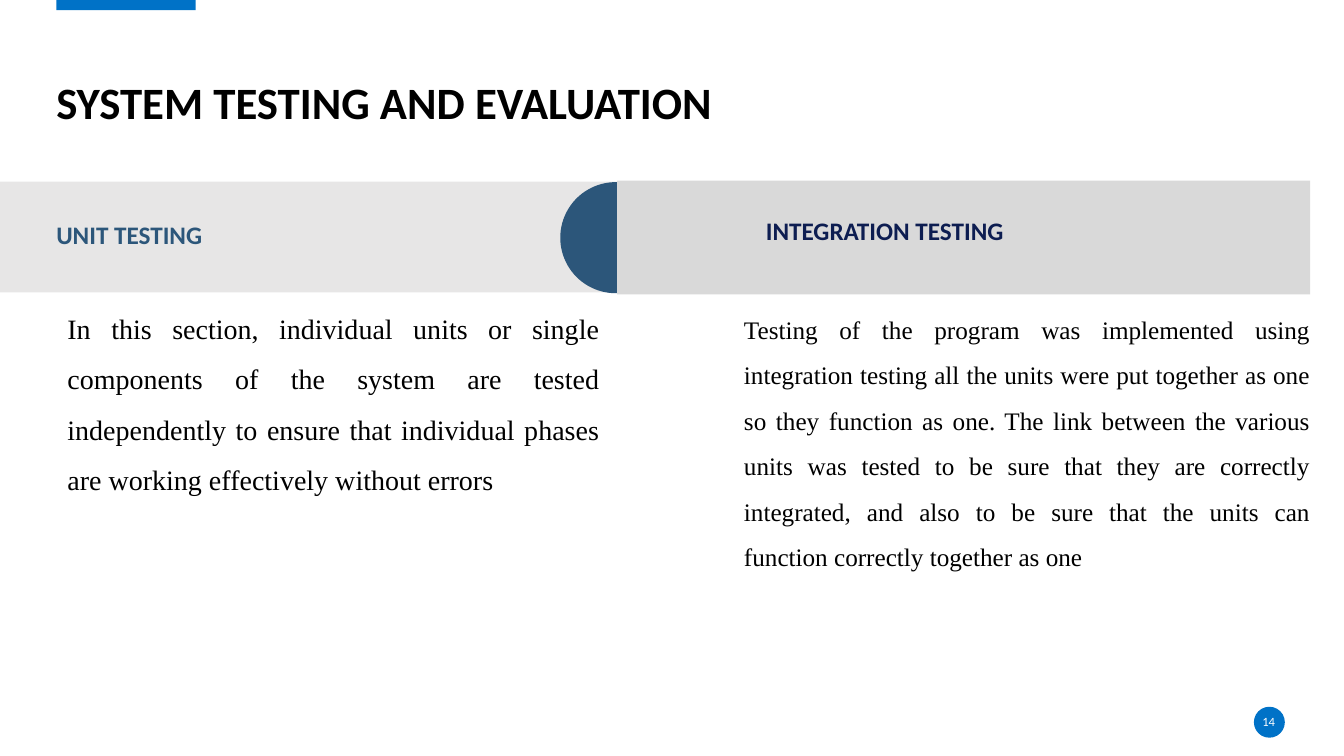
"""Build the system testing and evaluation slide."""
import pptx
import pptx.dml.color
import pptx.enum.shapes
import pptx.enum.text
import pptx.util

Cm = pptx.util.Cm
Pt = pptx.util.Pt
RGBColor = pptx.dml.color.RGBColor
Shape = pptx.enum.shapes.MSO_SHAPE
Align = pptx.enum.text.PP_ALIGN
Anchor = pptx.enum.text.MSO_ANCHOR

BLACK = RGBColor(0x00, 0x00, 0x00)
WHITE = RGBColor(0xFF, 0xFF, 0xFF)
BLUE = RGBColor(0x00, 0x72, 0xC7)
STEEL = RGBColor(0x2C, 0x56, 0x7A)
NAVY = RGBColor(0x0D, 0x1D, 0x51)
LIGHT_GREY = RGBColor(0xE7, 0xE6, 0xE6)
GREY = RGBColor(0xD9, 0xD9, 0xD9)

TITLE = "SYSTEM TESTING AND EVALUATION"
UNIT_HEADING = "UNIT TESTING"
UNIT_BODY = (
    "In this section, individual units or single components of the system are tested "
    "independently to ensure that individual phases are working effectively without errors"
)
INTEGRATION_HEADING = "INTEGRATION TESTING"
INTEGRATION_BODY = (
    "Testing of the program was implemented using integration testing all the units were put "
    "together as one so they function as one. The link between the various units was tested to "
    "be sure that they are correctly integrated, and also to be sure that the units can function "
    "correctly together as one"
)
PAGE_NUMBER = "14"

MARGIN = 1.42
HEADING = dict(size=18, bold=True, line_spacing=0.9, before=10)
BODY = dict(font="Times New Roman", align=Align.JUSTIFY, line_spacing=1.5, before=10)

SHAPES = [
    (Shape.RECTANGLE, (0, 4.58, 15.62, 2.79), LIGHT_GREY),
    (Shape.RECTANGLE, (MARGIN, 0, 3.51, 0.26), BLUE),
    (Shape.OVAL, (31.6, 17.81, 0.78, 0.78), BLUE),
    (Shape.OVAL, (14.12, 4.59, 2.8, 2.8), STEEL),
    (Shape.RECTANGLE, (15.55, 4.55, 17.47, 2.87), GREY),
]

TEXTS = [
    (TITLE, (MARGIN, 0.69, 30.96, 2.57),
     dict(size=32, bold=True, line_spacing=0.9, anchor=Anchor.BOTTOM)),
    (UNIT_HEADING, (MARGIN, 5.28, 11.79, 1.37), dict(HEADING, color=STEEL)),
    (UNIT_BODY, (1.7, 7.42, 13.41, 7.9), dict(BODY, size=20, after=14.6, anchor=Anchor.TOP)),
    (INTEGRATION_HEADING, (19.3, 5.18, 9.58, 1.37), dict(HEADING, color=NAVY)),
    (PAGE_NUMBER, (31.57, 17.93, 0.81, 0.51), dict(size=9, color=WHITE, align=Align.CENTER)),
    (INTEGRATION_BODY, (18.75, 7.85, 14.27, 6.55),
     dict(BODY, size=18, after=8, anchor=Anchor.BOTTOM)),
]


def add_text(page, text, place, *, size, font="Calibri", color=BLACK, bold=False,
             align=Align.LEFT, anchor=Anchor.MIDDLE, line_spacing=1.0, before=0, after=0):
    box = page.shapes.add_textbox(*map(Cm, place))
    frame = box.text_frame
    frame.word_wrap = True
    frame.vertical_anchor = anchor
    frame.margin_left = frame.margin_top = frame.margin_right = frame.margin_bottom = 0
    para = frame.paragraphs[0]
    para.alignment = align
    para.line_spacing = line_spacing
    para.space_before = Pt(before)
    para.space_after = Pt(after)
    span = para.add_run()
    span.text = text
    span.font.name = font
    span.font.size = Pt(size)
    span.font.bold = bold
    span.font.color.rgb = color


def add_block(page, kind, place, color):
    block = page.shapes.add_shape(kind, *map(Cm, place))
    block.shadow.inherit = False
    block.fill.solid()
    block.fill.fore_color.rgb = color
    block.line.fill.background()


def main():
    deck = pptx.Presentation()
    deck.slide_width = Cm(33.87)
    deck.slide_height = Cm(19.05)
    page = deck.slides.add_slide(deck.slide_layouts[6])
    for kind, place, color in SHAPES:
        add_block(page, kind, place, color)
    for text, place, style in TEXTS:
        add_text(page, text, place, **style)
    deck.save("out.pptx")


if __name__ == "__main__":
    main()
